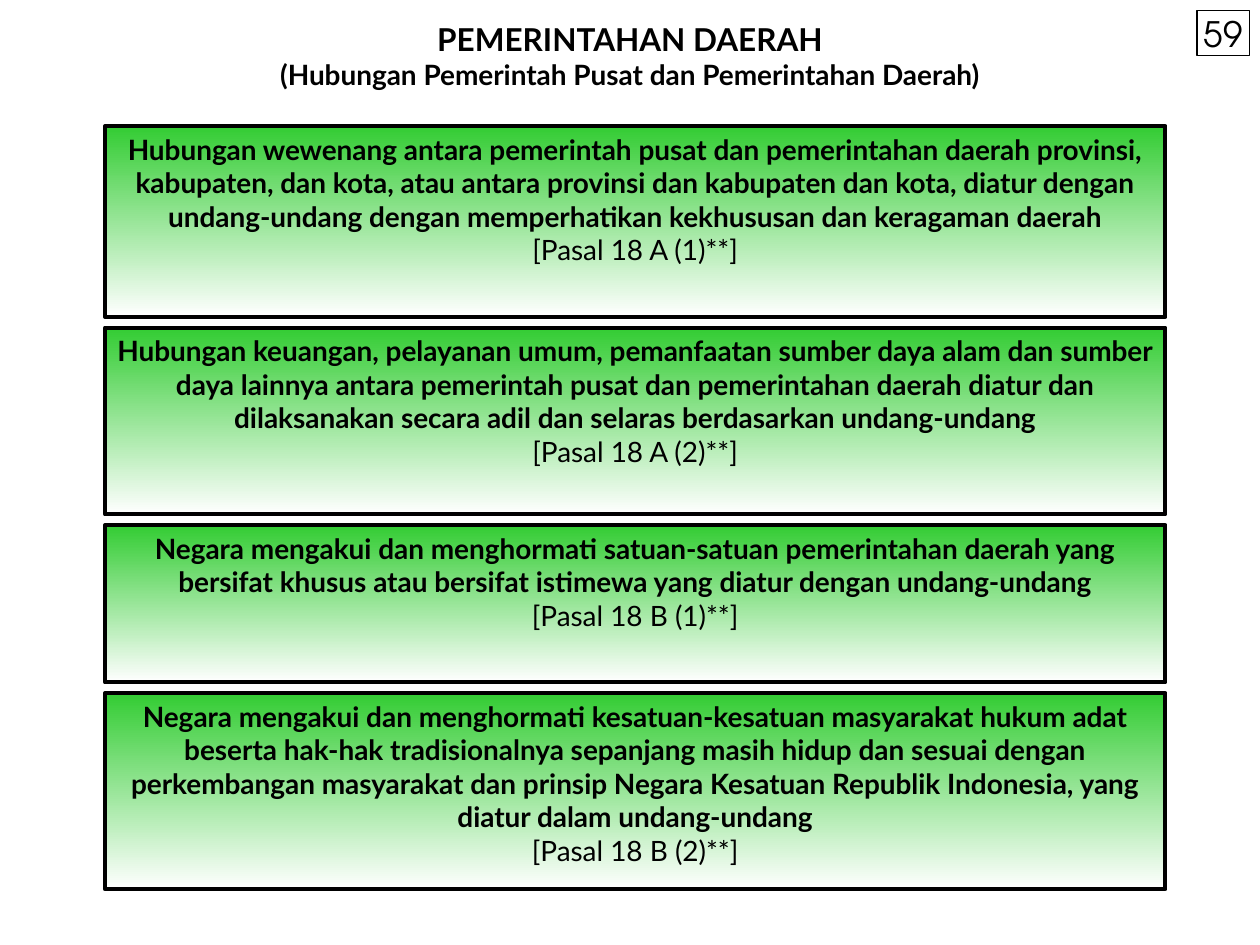
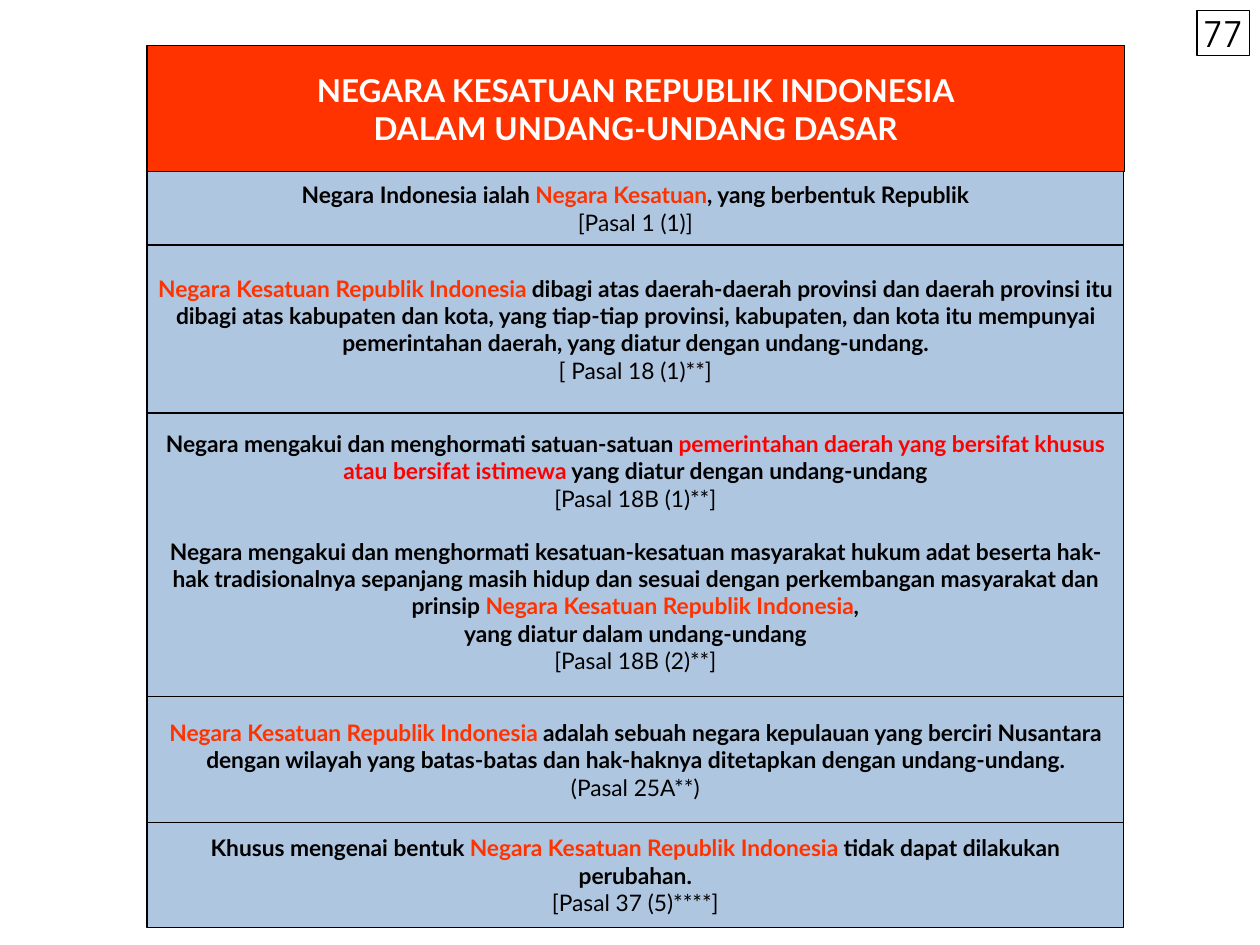
from itertools import accumulate
from lxml import etree
from pptx import Presentation
from pptx import util as u
from pptx.dml.color import RGBColor
from pptx.enum import shapes, text
from pptx.oxml.ns import qn

COLORS = {
    "ink": "000000",
    "paper": "FFFFFF",
    "green": "33CC33",
    "blue": "4F81BD",
    "orange": "FF3300",
    "red": "FF0000",
}
BODY_FONT, NUMBER_FONT = "Lato", "TeX Gyre Adventor"
WIDTH, HEIGHT = u.Inches(10), u.Inches(7.5)
COL, ROW = WIDTH / 120, HEIGHT / 90
PAD = 0.08
NKRI = ("Negara Kesatuan Republik Indonesia", "orange", True)

RELATIONS = [
    (18.2, "Hubungan wewenang antara pemerintah pusat dan pemerintahan daerah provinsi, "
           "kabupaten, dan kota, atau antara provinsi dan kabupaten dan kota, diatur dengan "
           "undang-undang dengan memperhatikan kekhususan dan keragaman daerah",
     "[Pasal 18 A (1)**]"),
    (17.8, "Hubungan keuangan, pelayanan umum, pemanfaatan sumber daya alam dan sumber daya "
           "lainnya antara pemerintah pusat dan pemerintahan daerah diatur dan dilaksanakan "
           "secara adil dan selaras berdasarkan undang-undang",
     "[Pasal 18 A (2)**]"),
    (15, "Negara mengakui dan menghormati satuan-satuan pemerintahan daerah yang bersifat "
         "khusus atau bersifat istimewa yang diatur dengan undang-undang",
     "[Pasal 18 B (1)**]"),
    (18.7, "Negara mengakui dan menghormati kesatuan-kesatuan masyarakat hukum adat beserta "
           "hak-hak tradisionalnya sepanjang masih hidup dan sesuai dengan perkembangan "
           "masyarakat dan prinsip Negara Kesatuan Republik Indonesia, yang diatur dalam "
           "undang-undang",
     "[Pasal 18 B (2)**]"),
]


def bold(words, color="ink"):
    return (words, color, True)


def plain(words):
    return (words, "ink", False)


ARTICLES = [
    (7, [[bold("Negara Indonesia ialah "), bold("Negara Kesatuan", "orange"),
          bold(", yang berbentuk Republik")],
         [plain("[Pasal 1 (1)]")]]),
    (16, [[NKRI, bold(" dibagi atas daerah-daerah provinsi dan daerah provinsi itu dibagi atas "
                      "kabupaten dan kota, yang tiap-tiap provinsi, kabupaten, dan kota itu "
                      "mempunyai pemerintahan daerah, yang diatur dengan undang-undang.")],
          [plain("[ Pasal 18 (1)**]")]]),
    (27, [[bold("Negara mengakui dan menghormati kesatuan-kesatuan masyarakat hukum adat beserta "
                "hak-hak tradisionalnya sepanjang masih hidup dan sesuai dengan perkembangan "
                "masyarakat dan prinsip "), NKRI, bold(",")],
          [bold("yang diatur dalam undang-undang")],
          [plain("[Pasal 18B (2)**]")]]),
    (12, [[NKRI, bold(" adalah sebuah negara kepulauan yang berciri Nusantara dengan wilayah yang "
                      "batas-batas dan hak-haknya ditetapkan dengan undang-undang.")],
          [plain("(Pasal 25A**)")]]),
    (10, [[bold("Khusus mengenai bentuk "), NKRI, bold(" tidak dapat dilakukan perubahan.")],
          [plain("[Pasal 37 (5)****]")]]),
]
SPECIAL_REGIONS = [
    [bold("Negara mengakui dan menghormati satuan-satuan "),
     bold("pemerintahan daerah yang bersifat khusus atau bersifat istimewa", "red"),
     bold(" yang diatur dengan undang-undang")],
    [plain("[Pasal 18B (1)**]")],
]


def rgb(name):
    return RGBColor.from_string(COLORS[name])


def place(box):
    left, top, width, height = box
    return [u.Emu(round(n)) for n in (left * COL, top * ROW, width * COL, height * ROW)]


def write(sp, paragraphs, sizes, font=BODY_FONT, anchor="TOP", pad=None):
    tf = sp.text_frame
    tf.word_wrap = True
    tf.vertical_anchor = text.MSO_ANCHOR[anchor]
    if pad is not None:
        tf.margin_left = tf.margin_top = tf.margin_right = tf.margin_bottom = u.Inches(pad)
    for i, runs in enumerate(paragraphs):
        p = tf.paragraphs[0] if i == 0 else tf.add_paragraph()
        p.alignment = text.PP_ALIGN.CENTER
        for words, color, is_bold in runs:
            r = p.add_run()
            r.text = words
            r.font.name, r.font.bold = font, is_bold
            r.font.size = u.Pt(sizes[min(i, len(sizes) - 1)])
            r.font.color.rgb = rgb(color)
    return tf


def rectangle(s, box, fill=None, alpha=None, line=0.75):
    sp = s.shapes.add_shape(shapes.MSO_SHAPE.RECTANGLE, *place(box))
    sp.shadow.inherit = False
    sp.line.color.rgb = rgb("ink")
    sp.line.width = u.Pt(line)
    if fill is None:
        sp.fill.background()
    else:
        sp.fill.solid()
        sp.fill.fore_color.rgb = rgb(fill)
    if alpha:
        color = sp._element.spPr.find(qn("a:solidFill")).find(qn("a:srgbClr"))
        etree.SubElement(color, qn("a:alpha"), val=str(alpha * 1000))
    return sp


def page_number(s, number):
    write(rectangle(s, (114, 1, 5, 4.3)), [[plain(number)]], [20], NUMBER_FONT, "MIDDLE", 0)


def heading(s, box):
    sp = s.shapes.add_textbox(*place(box))
    write(sp, [[bold("PEMERINTAHAN DAERAH")],
               [bold("(Hubungan Pemerintah Pusat dan Pemerintahan Daerah)")]], [18, 16])


def relation_cards(s, left, top, width, gap):
    for height, rule, article in RELATIONS:
        sp = rectangle(s, (left, top, width, height), line=2.25)
        sp.fill.gradient()
        sp.fill.gradient_angle = 270
        for stop, color in zip(sp.fill.gradient_stops, ("green", "paper")):
            stop.color.rgb = rgb(color)
        write(sp, [[bold(rule)], [plain(article)]], [16])
        top += height + gap


def title_band(s, box):
    lines = ["NEGARA KESATUAN REPUBLIK INDONESIA", "DALAM UNDANG-UNDANG DASAR"]
    write(rectangle(s, box, "orange"), [[bold(words, "paper")] for words in lines],
          [18], anchor="MIDDLE", pad=PAD)


def article_stack(s, left, top, width):
    tops = list(accumulate((height for height, _ in ARTICLES), initial=top))
    for y, (height, paragraphs) in zip(tops, ARTICLES):
        sp = rectangle(s, (left, y, width, height), "blue", alpha=45)
        shared = height == 27
        tf = write(sp, paragraphs, [13], anchor="BOTTOM" if shared else "MIDDLE", pad=PAD)
        if shared:
            tf.margin_bottom = u.Inches(0.18)
            upper = s.shapes.add_textbox(*place((left, y, width, 11)))
            write(upper, SPECIAL_REGIONS, [13], anchor="MIDDLE", pad=PAD)


def relations_slide(s):
    heading(s, (1, 1.3, 118, 8))
    relation_cards(s, 10, 12, 101, 1)
    page_number(s, "59")


def unitary_state_slide(s):
    title_band(s, (14, 4.35, 93.1, 12))
    article_stack(s, 14, 16.35, 93)
    page_number(s, "77")


def main():
    prs = Presentation()
    prs.slide_width, prs.slide_height = WIDTH, HEIGHT
    for build in (relations_slide, unitary_state_slide):
        build(prs.slides.add_slide(prs.slide_layouts[6]))
    prs.save("out.pptx")


if __name__ == "__main__":
    main()
